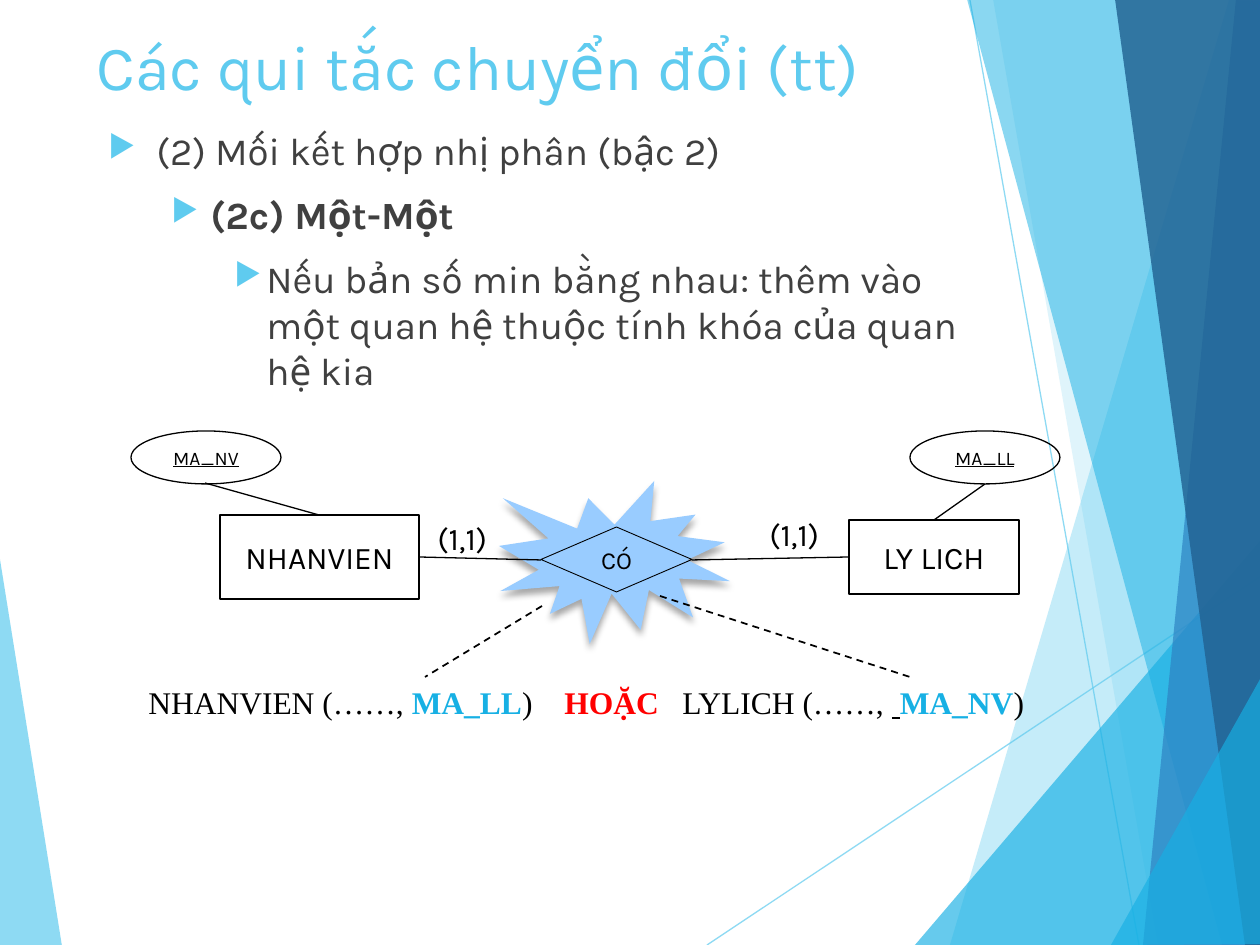
import pptx
import pptx.dml.color
import pptx.enum.dml
import pptx.enum.shapes
import pptx.enum.text
import pptx.oxml
import pptx.oxml.ns
import pptx.util
from lxml import etree

EMU_PER_PX = 914400 / 126
SHAPE = pptx.enum.shapes.MSO_SHAPE
ANCHOR = pptx.enum.text.MSO_ANCHOR
ALIGN = pptx.enum.text.PP_ALIGN
SKY, CYAN, BLUE, NAVY = "5FCBEF", "17B0E4", "2E83C3", "226292"
BLACK, GRAY, RED, PALE = "000000", "404040", "FF0000", "99CCFF"

# Points, colour and opacity in percent of each background facet.
LEFT_FACET = ([(-1, 553), (62, 946), (-1, 945)], SKY, 70)
RIGHT_FACETS = [
    ([(1229, 0), (950, 945), (1263, 946), (1261, 1)], SKY, 36),
    ([(993, -1), (1158, 945), (1261, 945), (1261, -1)], SKY, 20),
    ([(915, 945), (1260, 541), (1261, 945)], CYAN, 66),
    ([(967, -1), (1222, 945), (1261, 944), (1261, -1)], CYAN, 50),
    ([(1236, -1), (1143, 945), (1261, 945), (1260, -1)], BLUE, 70),
    ([(1115, -1), (1245, 945), (1263, 945), (1260, -1)], NAVY, 82),
    ([(1111, 945), (1263, 674), (1263, 944)], CYAN, 66),
]


def px(value):
    return pptx.util.Emu(round(value * EMU_PER_PX))


def rgb(color):
    return pptx.dml.color.RGBColor.from_string(color)


def add_element(parent, tag, **attributes):
    return etree.SubElement(parent, pptx.oxml.ns.qn(tag), attributes)


def set_opacity(shape, percent):
    for color in shape._element.spPr.iter(pptx.oxml.ns.qn("a:srgbClr")):
        add_element(color, "a:alpha", val=str(percent * 1000))


def set_font(font, size, color, name="Karla", bold=False, underline=False):
    font.size = pptx.util.Pt(size)
    font.name = name
    font.color.rgb = rgb(color)
    font.bold = bold
    font.underline = underline


def add_facet(page, points, color, opacity):
    builder = page.shapes.build_freeform(*points[0], scale=EMU_PER_PX)
    builder.add_line_segments(points[1:], close=True)
    facet = builder.convert_to_shape()
    facet.shadow.inherit = False
    facet.fill.solid()
    facet.fill.fore_color.rgb = rgb(color)
    facet.line.fill.background()
    set_opacity(facet, opacity)


def add_line(page, start, end, color=BLACK, width=0.75, dashed=False):
    line = page.shapes.add_connector(
        pptx.enum.shapes.MSO_CONNECTOR.STRAIGHT,
        *map(px, start), *map(px, end))
    line.line.color.rgb = rgb(color)
    line.line.width = pptx.util.Pt(width)
    if dashed:
        line.line.dash_style = pptx.enum.dml.MSO_LINE.DASH
    add_element(line._element.spPr, "a:effectLst")
    return line


def add_node(page, kind, bounds, text, size, width, underline=False):
    """Add an outlined, unfilled shape of the entity diagram."""
    node = page.shapes.add_shape(kind, *map(px, bounds))
    node.shadow.inherit = False
    node.fill.background()
    node.line.color.rgb = rgb(BLACK)
    node.line.width = pptx.util.Pt(width)
    node.text_frame.vertical_anchor = ANCHOR.MIDDLE
    paragraph = node.text_frame.paragraphs[0]
    paragraph.text = text
    paragraph.alignment = ALIGN.CENTER
    set_font(paragraph.font, size, BLACK, underline=underline)


def add_box(page, bounds, wrap=True):
    box = page.shapes.add_textbox(*map(px, bounds))
    box.text_frame.word_wrap = wrap
    return box.text_frame


def add_label(page, bounds, text, size, color, wrap=True):
    paragraph = add_box(page, bounds, wrap).paragraphs[0]
    paragraph.text = text
    set_font(paragraph.font, size, color)


def add_burst(page, bounds):
    burst = page.shapes.add_shape(SHAPE.EXPLOSION1, *map(px, bounds))
    burst.fill.solid()
    burst.fill.fore_color.rgb = rgb(PALE)
    burst.line.fill.background()
    effects = add_element(burst._element.spPr, "a:effectLst")
    shadow = add_element(effects, "a:outerShdw", blurRad="50800", dist="38100",
                         dir="5400000", rotWithShape="0")
    color = add_element(shadow, "a:srgbClr", val=BLACK)
    add_element(color, "a:alpha", val="35000")


def add_rules(page):
    rules = [
        ("(2) Mối kết hợp nhị phân (bậc 2)", 48, 48, False),
        ("(2c) Một-Một", 102, 39, True),
        ("Nếu bản số min bằng nhau: thêm vào một quan hệ thuộc tính "
         "khóa của quan hệ kia", 158, 32, False),
    ]
    frame = add_box(page, (96, 121, 875, 534))
    for level, (text, margin, hanging, bold) in enumerate(rules):
        paragraph = frame.add_paragraph() if level else frame.paragraphs[0]
        paragraph.text = text
        paragraph.level = level
        if level:
            paragraph.space_before = pptx.util.Pt(10)
        properties = paragraph._p.get_or_add_pPr()
        properties.set("marL", str(px(margin)))
        properties.set("indent", str(px(-hanging)))
        bullet_color = add_element(properties, "a:buClr")
        add_element(bullet_color, "a:srgbClr", val=SKY)
        add_element(properties, "a:buSzPct", val="80000")
        add_element(properties, "a:buChar", char="▶")
        set_font(paragraph.font, 22, GRAY, bold=bold)


def add_relations(page):
    """Add the two alternative relations, set apart by tab stops."""
    paragraph = add_box(page, (136, 677, 924, 50)).paragraphs[0]
    tabs = add_element(paragraph._p.get_or_add_pPr(), "a:tabLst")
    for stop in (416, 534):
        add_element(tabs, "a:tab", pos=str(px(stop)), algn="l")
    spans = [
        ("NHANVIEN (……, ", BLACK, False, False),
        ("MA_LL", CYAN, True, False),
        (")\t", BLACK, False, False),
        ("HOẶC", RED, True, False),
        ("\tLYLICH (……, ", BLACK, False, False),
        (" ", BLACK, False, True),
        ("MA_NV", CYAN, True, False),
        (")", BLACK, False, False),
    ]
    for text, color, bold, underline in spans:
        span = paragraph.add_run()
        span.text = text
        set_font(span.font, 18, color, "Times New Roman", bold, underline)


def add_background(page):
    add_facet(page, *LEFT_FACET)
    for start, end in [((707, 945), (1261, 576)), ((970, 0), (1139, 945))]:
        set_opacity(add_line(page, start, end, SKY), 70)
    for facet in RIGHT_FACETS:
        add_facet(page, *facet)


def add_diagram(page):
    add_node(page, SHAPE.RECTANGLE, (849, 520, 170, 74), "LY LICH", 18, 1)
    add_node(page, SHAPE.RECTANGLE, (220, 515, 199, 84), "NHANVIEN", 18, 1)
    for left, key in [(131, "MA_NV"), (910, "MA_LL")]:
        add_node(page, SHAPE.OVAL, (left, 431, 150, 53), key, 11, 0.75, True)
    add_node(page, SHAPE.DIAMOND, (541, 527, 151, 65), "CÓ", 14, 0.5)
    add_label(page, (425, 513, 117, 50), "(1,1)", 18, BLACK)
    add_label(page, (757, 509, 95, 50), "(1,1)", 18, BLACK, wrap=False)
    for start, end in [((205, 483), (319, 515)), ((419, 557), (541, 560)),
                       ((692, 560), (849, 557)), ((985, 484), (934, 520))]:
        add_line(page, start, end)
    for start, end in [((660, 596), (910, 677)), ((542, 606), (425, 677))]:
        add_line(page, start, end, width=1, dashed=True)


def main():
    deck = pptx.Presentation()
    deck.slide_width, deck.slide_height = px(1260), px(945)
    page = deck.slides.add_slide(deck.slide_layouts[6])
    add_background(page)
    add_burst(page, (499, 481, 231, 163))
    add_label(page, (84, 21, 874, 102), "Các qui tắc chuyển đổi (tt)", 36, SKY)
    add_rules(page)
    add_relations(page)
    add_diagram(page)
    deck.save("out.pptx")


if __name__ == "__main__":
    main()
